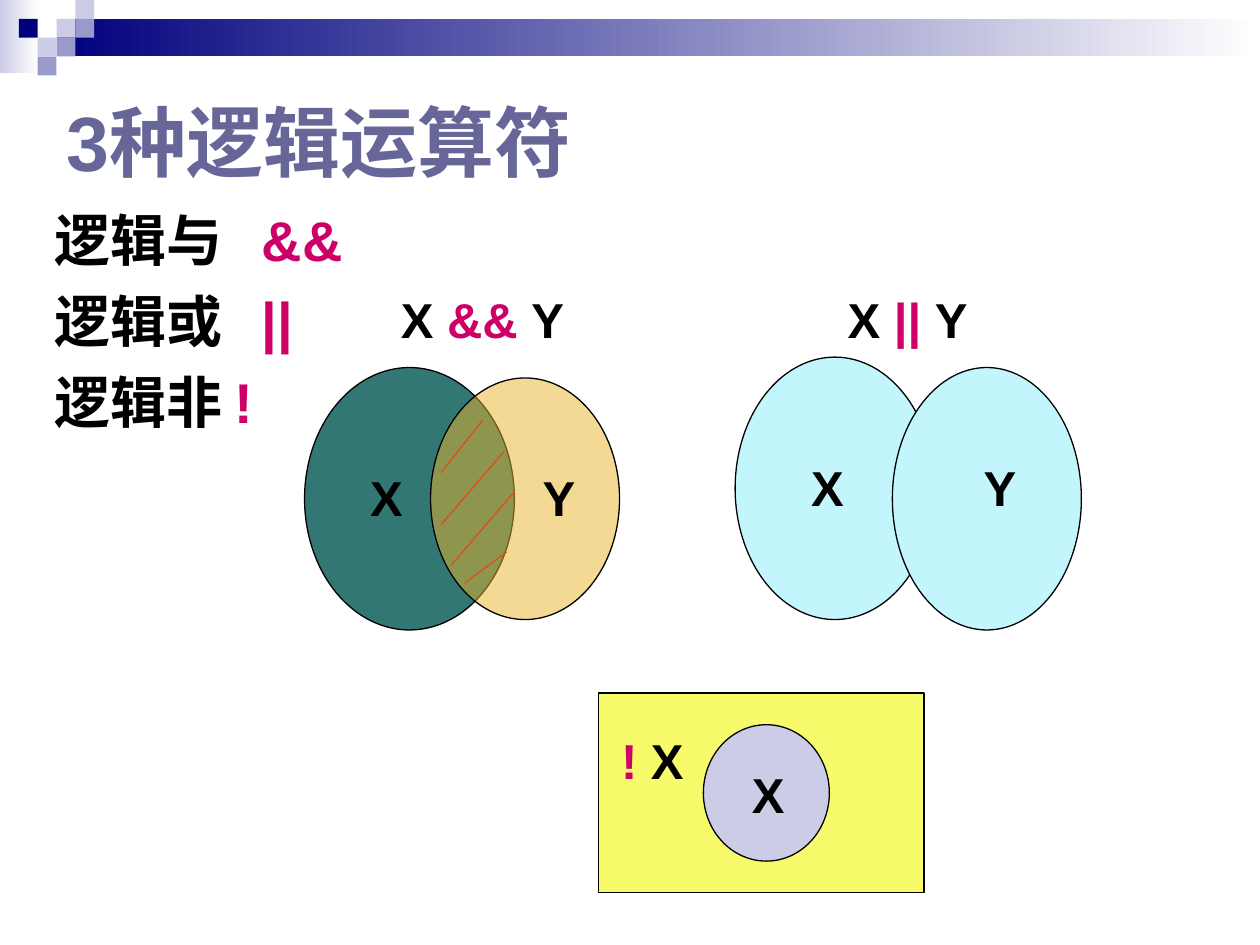
from typing import NamedTuple

from lxml import etree
from pptx import Presentation
from pptx.dml.color import RGBColor
from pptx.enum.shapes import MSO_CONNECTOR, MSO_SHAPE
from pptx.enum.text import MSO_ANCHOR, MSO_AUTO_SIZE, PP_ALIGN
from pptx.oxml.ns import qn
from pptx.util import Cm, Pt

RECT, OVAL = MSO_SHAPE.RECTANGLE, MSO_SHAPE.OVAL
STRAIGHT = MSO_CONNECTOR.STRAIGHT
MIDDLE, TOP = MSO_ANCHOR.MIDDLE, MSO_ANCHOR.TOP
LEFT, JUSTIFY = PP_ALIGN.LEFT, PP_ALIGN.JUSTIFY
FIXED, GROW = MSO_AUTO_SIZE.NONE, MSO_AUTO_SIZE.SHAPE_TO_FIT_TEXT

BLACK = RGBColor(0x00, 0x00, 0x00)
WHITE = RGBColor(0xFF, 0xFF, 0xFF)
NAVY = RGBColor(0x00, 0x00, 0x7D)
LILAC = RGBColor(0xCC, 0xCC, 0xE6)
MAUVE = RGBColor(0x99, 0x99, 0xCC)
SLATE = RGBColor(0x66, 0x66, 0x99)
PINK = RGBColor(0xCC, 0x00, 0x66)
AQUA = RGBColor(0xC3, 0xF5, 0xFD)
YELLOW = RGBColor(0xF7, 0xFA, 0x6A)
TEAL = RGBColor(0x33, 0x77, 0x74)
GOLD = RGBColor(0xEA, 0xB4, 0x2C)
ORANGE = RGBColor(0xDE, 0x4D, 0x1A)

FONT = "Arial"
TILE = 0.38
EDGE = Pt(0.75)


class Box(NamedTuple):
    left: float
    top: float
    width: float
    height: float


class Area(NamedTuple):
    kind: int
    box: Box
    color: RGBColor
    alpha: int = 100


class Run(NamedTuple):
    text: str
    color: RGBColor = BLACK


class Label(NamedTuple):
    left: float
    top: float
    width: float
    runs: list[Run]


class Hatch(NamedTuple):
    x1: float
    y1: float
    x2: float
    y2: float


# Column, row and colour of each corner tile
TILES = [
    (3, 1, LILAC), (4, 0, LILAC), (4, 1, MAUVE), (2, 2, LILAC),
    (1, 1, NAVY), (3, 2, MAUVE), (2, 3, MAUVE),
]
FADES = [
    (Box(0, 0, 0.78, 1.47), LILAC),
    (Box(3 * TILE, TILE, 24.26, 2 * TILE), NAVY),
]
AREAS = [
    Area(OVAL, Box(14.82, 7.2, 4.02, 5.29), AQUA),
    Area(OVAL, Box(17.99, 7.41, 3.81, 5.29), AQUA),
    Area(RECT, Box(12.07, 13.97, 6.56, 4.02), YELLOW),
    Area(OVAL, Box(14.18, 14.61, 2.54, 2.75), LILAC),
    Area(OVAL, Box(6.14, 7.41, 4.23, 5.29), TEAL),
    Area(OVAL, Box(8.68, 7.62, 3.81, 4.87), GOLD, 50),
]
HATCHES = [
    Hatch(9.73, 8.47, 8.89, 9.53),
    Hatch(10.16, 9.1, 8.89, 10.58),
    Hatch(10.37, 9.91, 9.1, 11.39),
    Hatch(10.21, 11.13, 9.37, 11.75),
]
LABELS = [
    Label(7.21, 9.31, 1.2, [Run("X")]),
    Label(7.83, 5.72, 3.9, [Run("X "), Run("&& ", PINK), Run("Y")]),
    Label(10.69, 9.31, 1.2, [Run("Y")]),
    Label(16.1, 9.1, 1.2, [Run("X")]),
    Label(19.58, 9.1, 1.2, [Run("Y")]),
    Label(16.84, 5.72, 3, [Run("X "), Run("|| ", PINK), Run("Y")]),
    Label(14.91, 15.29, 1.2, [Run("X")]),
    Label(12.27, 14.61, 1.85, [Run("! ", PINK), Run("X")]),
]
TITLE = [[Run("3种逻辑运算符", SLATE)]]
TERMS = [
    [Run("逻辑与\t"), Run("&&", PINK)],
    [Run("逻辑或\t"), Run("||", PINK)],
    [Run("逻辑非 "), Run("!", PINK)],
]


def add_shape(slide, kind: int, box: Box):
    shape = slide.shapes.add_shape(kind, *map(Cm, box))
    shape.shadow.inherit = False
    shape.line.fill.background()
    return shape


def draw_fade(slide, box: Box, color: RGBColor) -> None:
    """Draw a bar that fades to white on the right."""
    fill = add_shape(slide, RECT, box).fill
    fill.gradient()
    fill.gradient_angle = 0
    for stop, tone in zip(fill.gradient_stops, (color, WHITE)):
        stop.color.rgb = tone


def draw_tile(slide, col: int, row: int, color: RGBColor) -> None:
    shape = add_shape(slide, RECT, Box(col * TILE, row * TILE, TILE, TILE))
    shape.fill.solid()
    shape.fill.fore_color.rgb = color


def draw_area(slide, area: Area) -> None:
    shape = add_shape(slide, area.kind, area.box)
    shape.fill.solid()
    shape.fill.fore_color.rgb = area.color
    shape.line.color.rgb = BLACK
    shape.line.width = EDGE
    if area.alpha < 100:
        tone = shape.fill._xPr.find(qn("a:solidFill"))[0]
        etree.SubElement(tone, qn("a:alpha"), val=str(area.alpha * 1000))


def draw_hatch(slide, hatch: Hatch) -> None:
    line = slide.shapes.add_connector(STRAIGHT, *map(Cm, hatch))
    line.line.color.rgb = ORANGE
    line.line.width = EDGE
    etree.SubElement(line._element.spPr, qn("a:effectLst"))


def add_tab(para, pos: float) -> None:
    tabs = etree.SubElement(para._p.get_or_add_pPr(), qn("a:tabLst"))
    etree.SubElement(tabs, qn("a:tab"), pos=str(Cm(pos)), algn="l")


def draw_text(slide, box: Box, lines: list[list[Run]], size: int,
              align: int = LEFT, anchor: int = TOP, wrap: bool = True,
              gap: int = 0, tab: float = 0) -> None:
    """Draw a text box, which fits its text when it does not wrap."""
    frame = slide.shapes.add_textbox(*map(Cm, box)).text_frame
    frame.word_wrap = wrap
    frame.auto_size = FIXED if wrap else GROW
    frame.vertical_anchor = anchor
    for i, runs in enumerate(lines):
        para = frame.add_paragraph() if i else frame.paragraphs[0]
        if tab:
            add_tab(para, tab)
        if i and gap:
            para.space_before = Pt(gap)
        para.alignment = align
        para.font.name = FONT
        para.font.size = Pt(size)
        para.font.bold = True
        for part in runs:
            run = para.add_run()
            run.text = part.text
            run.font.color.rgb = part.color


def main() -> None:
    deck = Presentation()
    deck.slide_width, deck.slide_height = Cm(25.4), Cm(19.05)
    slide = deck.slides.add_slide(deck.slide_layouts[6])
    for box, color in FADES:
        draw_fade(slide, box, color)
    for tile in TILES:
        draw_tile(slide, *tile)
    draw_text(slide, Box(1.09, 0.93, 22.86, 3.81), TITLE, 44, anchor=MIDDLE)
    draw_text(slide, Box(0.84, 4.01, 6.86, 4.9), TERMS, 32, JUSTIFY,
              gap=8, tab=4.19)
    for area in AREAS:
        draw_area(slide, area)
    for hatch in HATCHES:
        draw_hatch(slide, hatch)
    for left, top, width, runs in LABELS:
        draw_text(slide, Box(left, top, width, 1.45), [runs], 28, wrap=False)
    deck.save("out.pptx")


if __name__ == "__main__":
    main()
